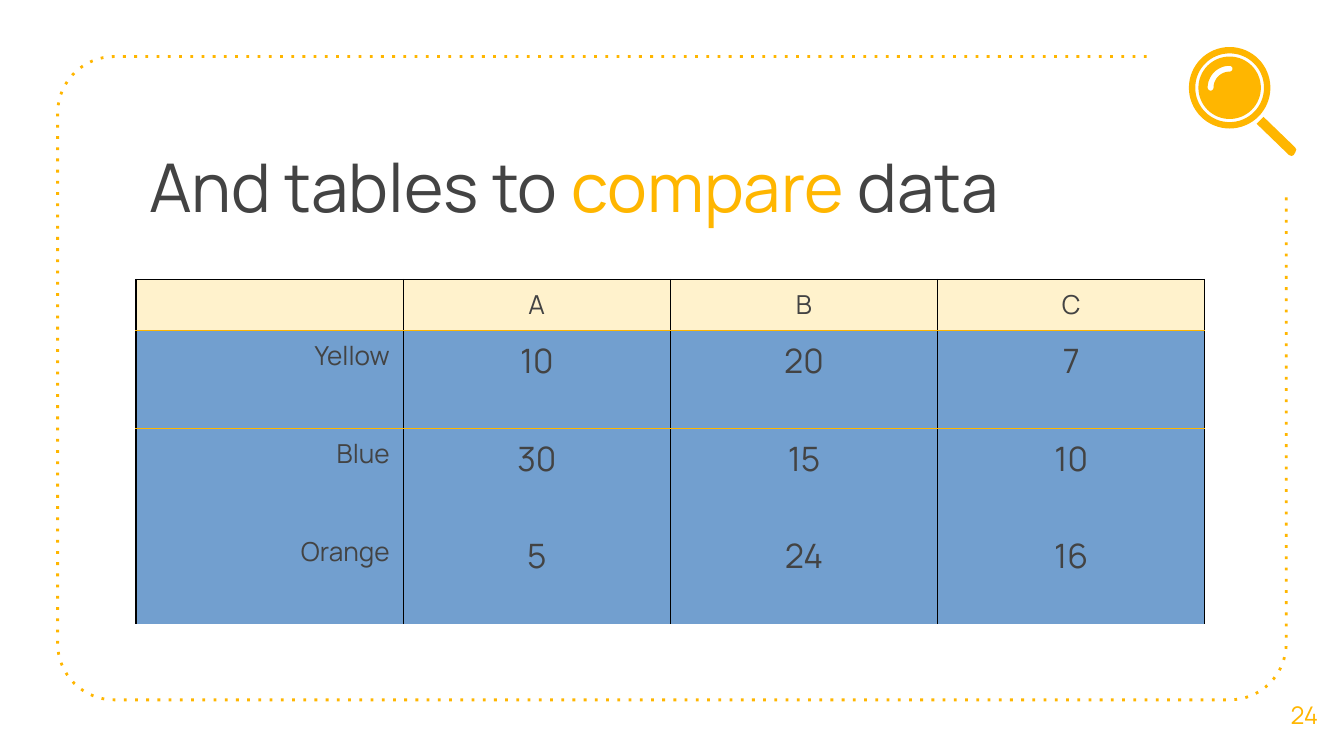
from math import cos, radians, sin

from lxml import etree
from pptx import Presentation
from pptx.dml.color import RGBColor
from pptx.enum.text import MSO_ANCHOR, PP_ALIGN
from pptx.oxml.ns import qn
from pptx.util import Cm, Pt

CENTER, RIGHT, LEFT = PP_ALIGN.CENTER, PP_ALIGN.RIGHT, PP_ALIGN.LEFT
TOP, MIDDLE = MSO_ANCHOR.TOP, MSO_ANCHOR.MIDDLE
AMBER = RGBColor(0xFF, 0xB6, 0x00)
CREAM = RGBColor(0xFF, 0xF2, 0xCC)
BLUE = RGBColor(0x72, 0x9F, 0xCF)
GRAY = RGBColor(0x43, 0x43, 0x43)
BLACK = RGBColor(0x00, 0x00, 0x00)
FONT = "Manrope"
PLAIN_STYLE = "{2D5ABB26-0587-4C30-8999-92F81FD0307C}"

# Content
TITLE = [("And tables to ", GRAY), ("compare", AMBER), (" data", GRAY)]
PAGE_NUMBER = [("24", AMBER)]
ROWS = [
    ("", "A", "B", "C"),
    ("Yellow", "10", "20", "7"),
    ("Blue", "30", "15", "10"),
    ("Orange", "5", "24", "16"),
]

# Layout, in centimetres
COLUMN_WIDTH, HEADER_HEIGHT, ROW_HEIGHT = 5.05, 0.97, 1.85
FRAME = (1.09, 1.07, 24.31, 13.23)
FRAME_RADIUS = 1.07
TOP_END, RIGHT_END = 21.67, 3.71
LENS_X, LENS_Y = 23.24, 1.66
RING_OUTER, RING_INNER, LENS_RADIUS = 0.77, 0.65, 0.59
GLINT_RADIUS, GLINT_HALF = 0.36, 0.055
HANDLE = [(23.88, 2.21), (23.75, 2.34), (24.36, 2.93), (24.41, 2.95),
          (24.45, 2.93), (24.48, 2.88), (24.5, 2.83), (24.48, 2.79)]


def arc(x, y, radius, start, end, steps=16):
    """Points along an arc; degrees run clockwise from the right."""
    angles = [radians(start + (end - start) * i / steps) for i in range(steps + 1)]
    return [(x + radius * cos(a), y + radius * sin(a)) for a in angles]


def circle(radius):
    return arc(LENS_X, LENS_Y, radius, 0, 360, 64)


def add_outline(slide, contours, closed=True):
    paths = [[(Cm(x), Cm(y)) for x, y in contour] for contour in contours]
    builder = slide.shapes.build_freeform(*paths[0][0])
    for i, points in enumerate(paths):
        if i:
            builder.move_to(*points[0])
        builder.add_line_segments(points[1:], close=closed)
    outline = builder.convert_to_shape()
    outline.shadow.inherit = False
    if closed:
        outline.fill.solid()
        outline.fill.fore_color.rgb = AMBER
        outline.line.fill.background()
    else:
        outline.fill.background()
    return outline


def style_run(run, size, color):
    run.font.name = FONT
    run.font.size = Pt(size)
    run.font.color.rgb = color


def add_text(slide, box, parts, size, align, anchor):
    frame = slide.shapes.add_textbox(*map(Cm, box)).text_frame
    frame.word_wrap = True
    frame.vertical_anchor = anchor
    frame.margin_left = frame.margin_right = Cm(0.25)
    frame.margin_top = frame.margin_bottom = Cm(0.25)
    paragraph = frame.paragraphs[0]
    paragraph.alignment = align
    for text, color in parts:
        run = paragraph.add_run()
        run.text = text
        style_run(run, size, color)


def set_border(cell, side, color):
    line = etree.SubElement(cell._tc.get_or_add_tcPr(), qn("a:ln" + side),
                            w=str(Pt(0.75)))
    if color is None:
        etree.SubElement(line, qn("a:noFill"))
    else:
        fill = etree.SubElement(line, qn("a:solidFill"))
        etree.SubElement(fill, qn("a:srgbClr"), val=str(color))


def row_line(index):
    """Colour of the rule above the row with this index."""
    return {0: BLACK, 1: AMBER, 2: AMBER}.get(index)


def add_comparison(slide):
    count = len(ROWS[0])
    height = HEADER_HEIGHT + ROW_HEIGHT * (len(ROWS) - 1)
    table = slide.shapes.add_table(len(ROWS), count, Cm(2.57), Cm(5.28),
                                   Cm(COLUMN_WIDTH * count), Cm(height)).table
    table.first_row = table.horz_banding = False
    table._tbl.tblPr.find(qn("a:tableStyleId")).text = PLAIN_STYLE
    for column in table.columns:
        column.width = Cm(COLUMN_WIDTH)
    for r, values in enumerate(ROWS):
        table.rows[r].height = Cm(ROW_HEIGHT if r else HEADER_HEIGHT)
        for c, value in enumerate(values):
            cell = table.cell(r, c)
            borders = {"L": BLACK, "R": BLACK, "T": row_line(r), "B": row_line(r + 1)}
            for side, color in borders.items():
                set_border(cell, side, color)
            cell.fill.solid()
            cell.fill.fore_color.rgb = BLUE if r else CREAM
            paragraph = cell.text_frame.paragraphs[0]
            paragraph.text = value
            paragraph.alignment = RIGHT if r and c == 0 else CENTER
            size = 18 if r and c else 14
            paragraph.font.size = Pt(size)
            for run in paragraph.runs:
                style_run(run, size, GRAY)


prs = Presentation()
prs.slide_width, prs.slide_height = Cm(25.4), Cm(14.29)
slide = prs.slides.add_slide(prs.slide_layouts[6])

# Dotted frame, open at the top right corner
left, top, right, bottom = FRAME
near, far = left + FRAME_RADIUS, right - FRAME_RADIUS
low = bottom - FRAME_RADIUS
frame_path = ([(TOP_END, top)]
              + arc(near, top + FRAME_RADIUS, FRAME_RADIUS, 270, 180)
              + arc(near, low, FRAME_RADIUS, 180, 90)
              + arc(far, low, FRAME_RADIUS, 90, 0)
              + [(right, RIGHT_END)])
border = add_outline(slide, [frame_path], closed=False)
border.line.color.rgb = AMBER
border.line.width = Pt(1.5)
etree.SubElement(border.line._ln, qn("a:prstDash"), val="dot")

# Title, table and page number
add_text(slide, (2.57, 2.49, 19.08, 2.39), TITLE, 36, LEFT, TOP)
add_comparison(slide)
add_text(slide, (23.9, 12.75, 1.5, 1.52), PAGE_NUMBER, 13, CENTER, MIDDLE)

# Magnifying glass: ring, lens with a glint cut out, handle
glint = (arc(LENS_X, LENS_Y, GLINT_RADIUS + GLINT_HALF, 180, 270)
         + arc(LENS_X, LENS_Y - GLINT_RADIUS, GLINT_HALF, -90, 90)
         + arc(LENS_X, LENS_Y, GLINT_RADIUS - GLINT_HALF, 270, 180)
         + arc(LENS_X - GLINT_RADIUS, LENS_Y, GLINT_HALF, 0, 180))
add_outline(slide, [circle(RING_OUTER), circle(RING_INNER)])
add_outline(slide, [circle(LENS_RADIUS), glint])
add_outline(slide, [HANDLE])

prs.save("out.pptx")
